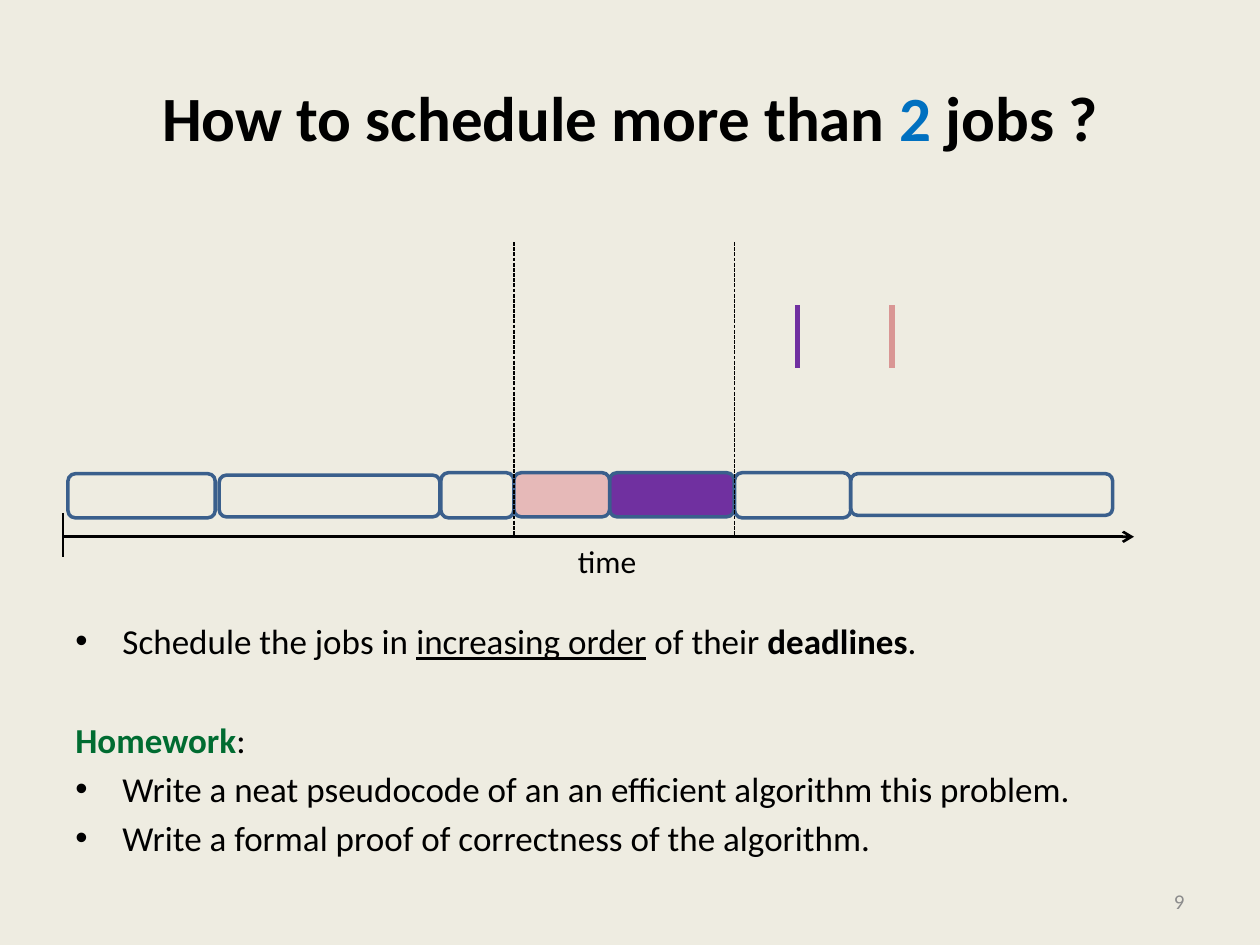
from dataclasses import dataclass
from typing import NamedTuple, Optional

from lxml.etree import SubElement
from pptx import Presentation
from pptx.dml.color import RGBColor
from pptx.enum.dml import MSO_LINE
from pptx.enum.shapes import MSO_CONNECTOR, MSO_SHAPE
from pptx.enum.text import MSO_ANCHOR, PP_ALIGN
from pptx.oxml.ns import qn
from pptx.util import Cm, Pt


@dataclass(frozen=True)
class Theme:
    font: str = "Calibri"
    back: str = "EEECE1"
    ink: str = "000000"
    blue: str = "0070C0"
    green: str = "006C31"
    gray: str = "8C8C8C"
    edge: str = "3A5F8C"
    pink: str = "E6B9B8"
    rose: str = "D99694"
    purple: str = "7030A0"
    head: int = 36
    body: int = 20
    label: int = 18
    small: int = 12


class Run(NamedTuple):
    text: str
    color: str = ""
    bold: bool = False
    under: bool = False


class Para(NamedTuple):
    runs: list[Run]
    bullet: bool = False
    gap: float = 0


class Job(NamedTuple):
    left: float
    top: float
    width: float
    height: float
    fill: Optional[str] = None


class Rule(NamedTuple):
    start: tuple[float, float]
    end: tuple[float, float]
    color: str
    weight: float
    dash: bool = False
    arrow: bool = False


THEME = Theme()
AXIS = 10.82  # height of the time axis
LEFT, RIGHT = 1.27, 22.86
CUTS = (10.36, 14.81)  # the swapped pair lies between these

JOBS = [
    Job(1.37, 9.55, 2.97, 0.89),
    Job(17.15, 9.55, 5.28, 0.84),
    Job(4.42, 9.58, 4.45, 0.84),
    Job(8.89, 9.53, 1.47, 0.91),
    Job(12.29, 9.53, 2.51, 0.89, THEME.purple),
    Job(CUTS[0], 9.53, 1.93, 0.89, THEME.pink),
    Job(CUTS[1], 9.53, 2.34, 0.91),
]

RULES = [
    *(Rule((x, 4.88), (x, AXIS), THEME.ink, 0.75, dash=True) for x in CUTS),
    Rule((LEFT, AXIS), (RIGHT, AXIS), THEME.ink, 1.5, arrow=True),
    Rule((LEFT, 10.34), (LEFT, 11.23), THEME.ink, 1.5),
    # Deadlines of the two jobs
    *(Rule((x, 6.15), (x, 7.42), color, 3)
      for x, color in ((17.98, THEME.rose), (16.08, THEME.purple))),
]

NOTES = [
    Para([Run("Schedule the jobs in "), Run("increasing order", under=True),
          Run(" of their "), Run("deadlines", bold=True), Run(".")], bullet=True),
    Para([Run("Homework", THEME.green, bold=True), Run(":")], gap=32.4),
    Para([Run("Write a neat pseudocode of an an efficient algorithm this problem.")],
         bullet=True, gap=4),
    Para([Run("Write a formal proof of correctness of the algorithm.")],
         bullet=True, gap=4),
]


def rgb(color: str) -> RGBColor:
    return RGBColor.from_string(color)


def add_text(slide, paras: list[Para], left: float, top: float, width: float,
             height: float, *, size: int, color: str = THEME.ink,
             align=PP_ALIGN.LEFT, anchor=MSO_ANCHOR.TOP, wrap: bool = True) -> None:
    box = slide.shapes.add_textbox(Cm(left), Cm(top), Cm(width), Cm(height))
    frame = box.text_frame
    frame.word_wrap = wrap
    frame.vertical_anchor = anchor
    for i, item in enumerate(paras):
        para = frame.paragraphs[0] if i == 0 else frame.add_paragraph()
        para.alignment = align
        para.space_before = Pt(item.gap)
        if item.bullet:
            props = para._p.get_or_add_pPr()
            props.set("marL", str(Cm(0.95)))
            props.set("indent", str(-Cm(0.95)))
            SubElement(props, qn("a:buFont"), typeface="Arial")
            SubElement(props, qn("a:buChar"), char="•")
        for part in item.runs:
            run = para.add_run()
            run.text = part.text
            font = run.font
            font.name, font.size = THEME.font, Pt(size)
            font.bold, font.underline = part.bold, part.under
            font.color.rgb = rgb(part.color or color)


def add_job(slide, job: Job) -> None:
    shape = slide.shapes.add_shape(
        MSO_SHAPE.ROUNDED_RECTANGLE,
        Cm(job.left), Cm(job.top), Cm(job.width), Cm(job.height))
    shape.shadow.inherit = False
    if job.fill:
        shape.fill.solid()
        shape.fill.fore_color.rgb = rgb(job.fill)
    else:
        shape.fill.background()
    shape.line.color.rgb = rgb(THEME.edge)
    shape.line.width = Pt(2)


def add_rule(slide, rule: Rule) -> None:
    ends = [Cm(n) for n in (*rule.start, *rule.end)]
    link = slide.shapes.add_connector(MSO_CONNECTOR.STRAIGHT, *ends)
    line = link.line
    line.color.rgb = rgb(rule.color)
    line.width = Pt(rule.weight)
    if rule.dash:
        line.dash_style = MSO_LINE.SQUARE_DOT
    if rule.arrow:
        SubElement(line._get_or_add_ln(), qn("a:tailEnd"), type="arrow")
    SubElement(link._element.spPr, qn("a:effectLst"))


def main() -> None:
    deck = Presentation()
    deck.slide_width, deck.slide_height = Cm(25.4), Cm(19.05)
    slide = deck.slides.add_slide(deck.slide_layouts[6])
    slide.background.fill.solid()
    slide.background.fill.fore_color.rgb = rgb(THEME.back)

    # Title
    title = [Run("How to schedule more than ", bold=True),
             Run("2", THEME.blue, bold=True), Run(" jobs ?", bold=True)]
    add_text(slide, [Para(title)], LEFT, 0.76, 22.86, 3.18, size=THEME.head,
             align=PP_ALIGN.CENTER, anchor=MSO_ANCHOR.MIDDLE)

    # Bullets and homework
    add_text(slide, NOTES, LEFT, 12.37, 22.86, 4.65, size=THEME.body)

    # Page number
    add_text(slide, [Para([Run("9")])], 18.21, 17.65, 5.92, 1.02,
             size=THEME.small, color=THEME.gray, align=PP_ALIGN.RIGHT,
             anchor=MSO_ANCHOR.MIDDLE)

    # Schedule on its time axis
    for job in JOBS:
        add_job(slide, job)
    for rule in RULES:
        add_rule(slide, rule)
    add_text(slide, [Para([Run("time")])], 11.4, 10.8, 1.7, 1.02,
             size=THEME.label, wrap=False)

    deck.save("out.pptx")


if __name__ == "__main__":
    main()
